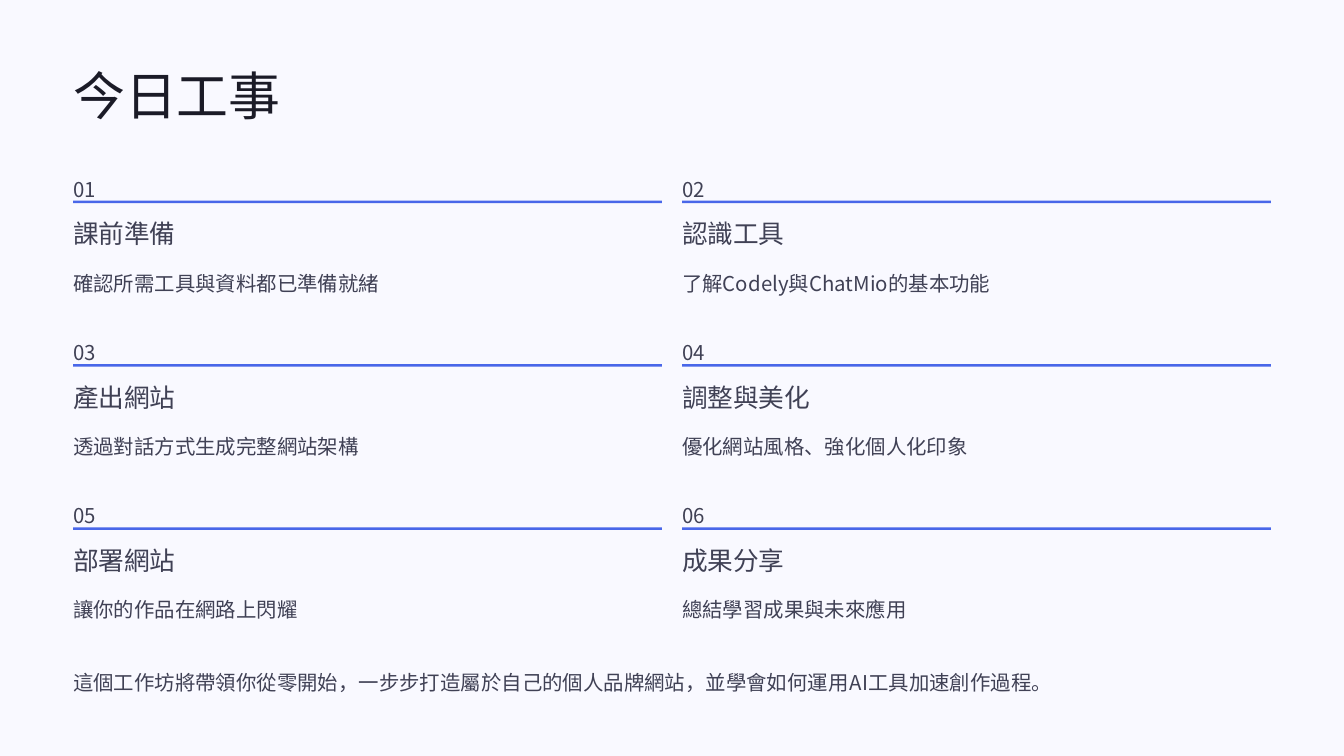
from lxml import etree
from pptx import Presentation
from pptx.dml.color import RGBColor
from pptx.enum import shapes, text
from pptx.oxml import ns
from pptx.util import Inches, Pt

COLORS = {"background": "F9F9FF", "title": "1B1B27", "body": "404155", "rule": "4967E9"}
FONT = "Noto Sans CJK SC"
LEFT, TOP = 0.87, 2
COLUMN_WIDTH, COLUMN_STEP = 7.01, 7.25
ROW_STEP = 3.89 / 2

AGENDA = [
    ("課前準備", "確認所需工具與資料都已準備就緒"),
    ("認識工具", "了解Codely與ChatMio的基本功能"),
    ("產出網站", "透過對話方式生成完整網站架構"),
    ("調整與美化", "優化網站風格、強化個人化印象"),
    ("部署網站", "讓你的作品在網路上閃耀"),
    ("成果分享", "總結學習成果與未來應用"),
]
SUMMARY = "這個工作坊將帶領你從零開始，一步步打造屬於自己的個人品牌網站，並學會如何運用AI工具加速創作過程。"


class AgendaSlide:
    def __init__(self, presentation):
        self.slide = presentation.slides.add_slide(presentation.slide_layouts[5])
        fill = self.slide.background.fill
        fill.solid()
        fill.fore_color.rgb = self.color("background")

    def color(self, role):
        return RGBColor.from_string(COLORS[role])

    def set_text(self, box, wording, size, leading, role):
        frame = box.text_frame
        frame.margin_left = frame.margin_right = frame.margin_top = frame.margin_bottom = 0
        frame.word_wrap = False
        frame.auto_size = text.MSO_AUTO_SIZE.NONE
        frame.vertical_anchor = text.MSO_ANCHOR.TOP
        paragraph = frame.paragraphs[0]
        paragraph.text = wording
        paragraph.alignment = text.PP_ALIGN.LEFT
        paragraph.line_spacing = Pt(leading)
        paragraph.space_before = Pt(0)
        font = paragraph.font
        font.size = Pt(size)
        font.bold = False
        font.color.rgb = self.color(role)
        font.name = FONT
        properties = paragraph._p.pPr.find(ns.qn("a:defRPr"))
        etree.SubElement(properties, ns.qn("a:ea"), typeface=FONT)

    def title(self, wording, left, top, width, height):
        heading = self.slide.shapes.title
        heading.left, heading.top = Inches(left), Inches(top)
        heading.width, heading.height = Inches(width), Inches(height)
        self.set_text(heading, wording, 44.5, 55.5, "title")

    def label(self, wording, left, top, width, height, size=17.5, leading=28.5):
        box = self.slide.shapes.add_textbox(
            Inches(left), Inches(top), Inches(width), Inches(height))
        self.set_text(box, wording, size, leading, "body")

    def rule(self, left, top, width, height=0.03):
        bar = self.slide.shapes.add_shape(
            shapes.MSO_SHAPE.RECTANGLE,
            Inches(left), Inches(top), Inches(width), Inches(height))
        bar.shadow.inherit = False
        bar.fill.solid()
        bar.fill.fore_color.rgb = self.color("rule")
        bar.line.fill.background()

    def topic(self, index, name, detail):
        row, column = divmod(index, 2)
        left = LEFT + column * COLUMN_STEP
        top = TOP + row * ROW_STEP
        self.label(f"{index + 1:02}", left, top, 0.25, 0.31)
        self.rule(left, top + 0.39, COLUMN_WIDTH)
        self.label(name, left, top + 0.58, 3.1, 0.39, size=22, leading=27.5)
        self.label(detail, left, top + 1.12, COLUMN_WIDTH, 0.4)


def main():
    presentation = Presentation()
    presentation.slide_width = Inches(16)
    presentation.slide_height = Inches(9)
    agenda = AgendaSlide(presentation)
    agenda.title("今日工事", LEFT, 0.73, 6.2, 0.78)
    for index, (name, detail) in enumerate(AGENDA):
        agenda.topic(index, name, detail)
    agenda.label(SUMMARY, LEFT, 7.87, COLUMN_STEP + COLUMN_WIDTH, 0.4)
    presentation.save("out.pptx")


if __name__ == "__main__":
    main()
